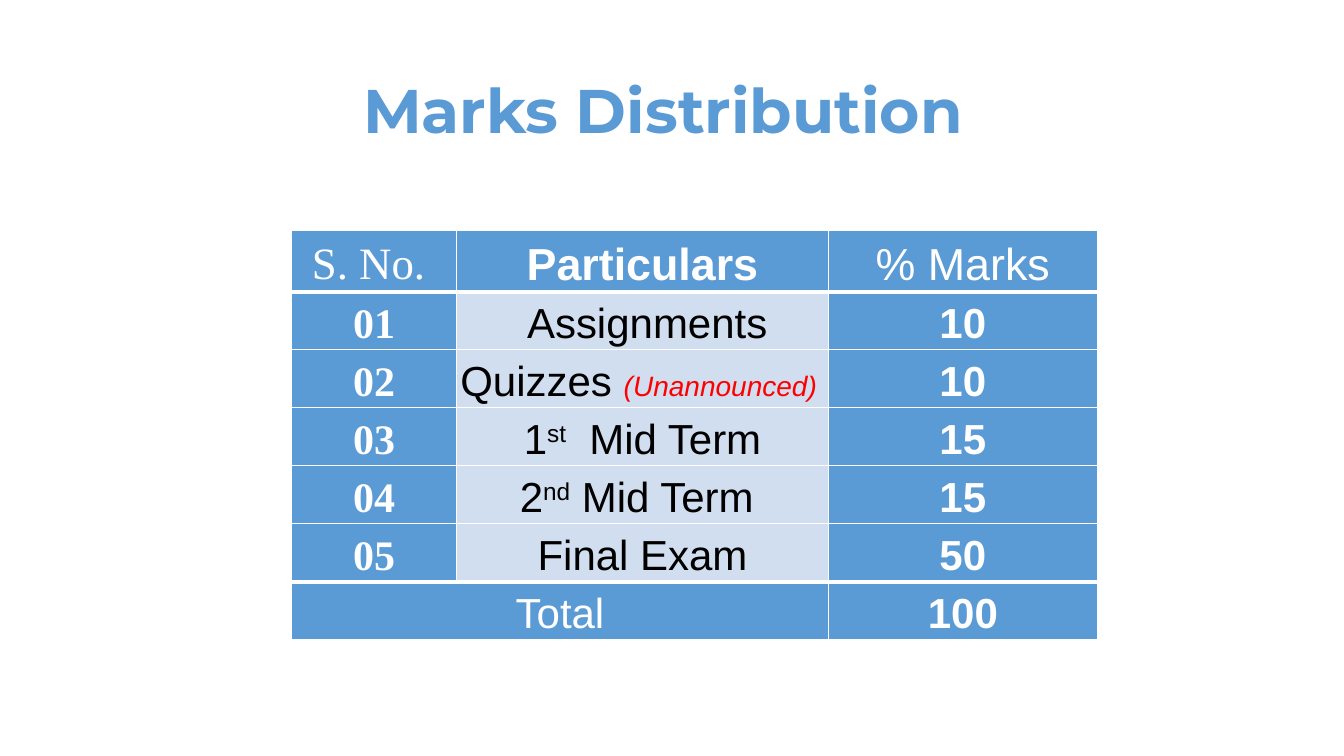
import pptx
import pptx.dml.color
import pptx.enum.text
import pptx.oxml
import pptx.oxml.ns
import pptx.util

Pt = pptx.util.Pt
RGB = pptx.dml.color.RGBColor.from_string
MIDDLE = pptx.enum.text.MSO_ANCHOR.MIDDLE
CENTER = pptx.enum.text.PP_ALIGN.CENTER

COLORS = {"blue": "5B9BD5", "pale": "D0DEEF", "white": "FFFFFF",
          "black": "000000", "red": "FF0000"}

TITLE = dict(name="Montserrat", size=Pt(44), bold=True, color="blue")
HEADING = dict(name="Arial", size=Pt(32), bold=False, color="white")
HEADING_BOLD = dict(HEADING, bold=True)
HEADING_SERIF = dict(HEADING, name="Times New Roman")
MARK = dict(HEADING_BOLD, size=Pt(30))
NUMBER = dict(MARK, name="Times New Roman")
TOTAL = dict(MARK, bold=False)
ITEM = dict(TOTAL, color="black")
ORDINAL = dict(ITEM, baseline="30000")
REMARK = dict(ITEM, size=Pt(20), italic=True, color="red")

HEADINGS = [("S. No. ", HEADING_SERIF), ("Particulars", HEADING_BOLD), ("% Marks", HEADING)]
PARTICULARS = [
    ([(" Assignments", ITEM)], "10"),
    ([("Quizzes ", ITEM), ("(Unannounced) ", REMARK)], "10"),
    ([("1", ITEM), ("st", ORDINAL), ("  Mid Term", ITEM)], "15"),
    ([("2", ITEM), ("nd", ORDINAL), (" Mid Term ", ITEM)], "15"),
    ([("Final Exam", ITEM)], "50"),
]


def write(frame, runs, line_spacing):
    paragraph = frame.paragraphs[0]
    paragraph.alignment = CENTER
    paragraph.line_spacing = line_spacing
    for text, style in runs:
        run = paragraph.add_run()
        run.text = text
        for key, value in style.items():
            if key == "color":
                run.font.color.rgb = RGB(COLORS[value])
            elif key == "baseline":
                run.font._element.set("baseline", value)
            else:
                setattr(run.font, key, value)


def format_cell(cell, fill, top, bottom):
    """Set the margins, fill and white borders; top and bottom are widths in points."""
    layout = dict(margin_left=Pt(2), margin_right=Pt(2), margin_top=0,
                  margin_bottom=0, vertical_anchor=MIDDLE)
    for key, value in layout.items():
        setattr(cell, key, value)
    properties = cell._tc.get_or_add_tcPr()
    for side, width in dict(L=1, R=1, T=top, B=bottom).items():
        properties.append(pptx.oxml.parse_xml(
            f'<a:ln{side} {pptx.oxml.ns.nsdecls("a")} w="{Pt(width)}"><a:solidFill>'
            f'<a:srgbClr val="{COLORS["white"]}"/></a:solidFill></a:ln{side}>'))
    cell.fill.solid()
    cell.fill.fore_color.rgb = RGB(COLORS[fill])


def add_title(slide, left, top, width, height):
    frame = slide.shapes.add_textbox(Pt(left), Pt(top), Pt(width), Pt(height)).text_frame
    frame.word_wrap = True
    frame.vertical_anchor = MIDDLE
    write(frame, [("Marks Distribution ", TITLE)], 0.9)


def add_marks_table(slide, left, top, column_widths, row_height):
    rows = [[[heading] for heading in HEADINGS]]
    for number, (particular, mark) in enumerate(PARTICULARS, 1):
        rows.append([[(f"{number:02}", NUMBER)], particular, [(mark, MARK)]])
    rows.append([[("Total", TOTAL)], [], [("100", MARK)]])
    last = len(rows) - 1

    table = slide.shapes.add_table(
        len(rows), len(column_widths), Pt(left), Pt(top),
        Pt(sum(column_widths)), Pt(row_height * len(rows))).table
    for column, width in zip(table.columns, column_widths):
        column.width = Pt(width)
    for r, row in enumerate(rows):
        for c, runs in enumerate(row):
            cell = table.cell(r, c)
            fill = "pale" if c == 1 and 0 < r < last else "blue"
            format_cell(cell, fill, 3 if r in (1, last) else 1,
                        3 if r in (0, last - 1) else 1)
            if runs:
                write(cell.text_frame, runs, 1.15)
    table.cell(last, 0).merge(table.cell(last, 1))


def main():
    presentation = pptx.Presentation()
    presentation.slide_width = Pt(960)
    presentation.slide_height = Pt(540)
    slide = presentation.slides.add_slide(presentation.slide_layouts[6])
    add_title(slide, 66, 28.75, 828, 104.4)
    add_marks_table(slide, 208.3, 164.3, [118, 265.5, 192], 31.7)
    presentation.save("out.pptx")


if __name__ == "__main__":
    main()
